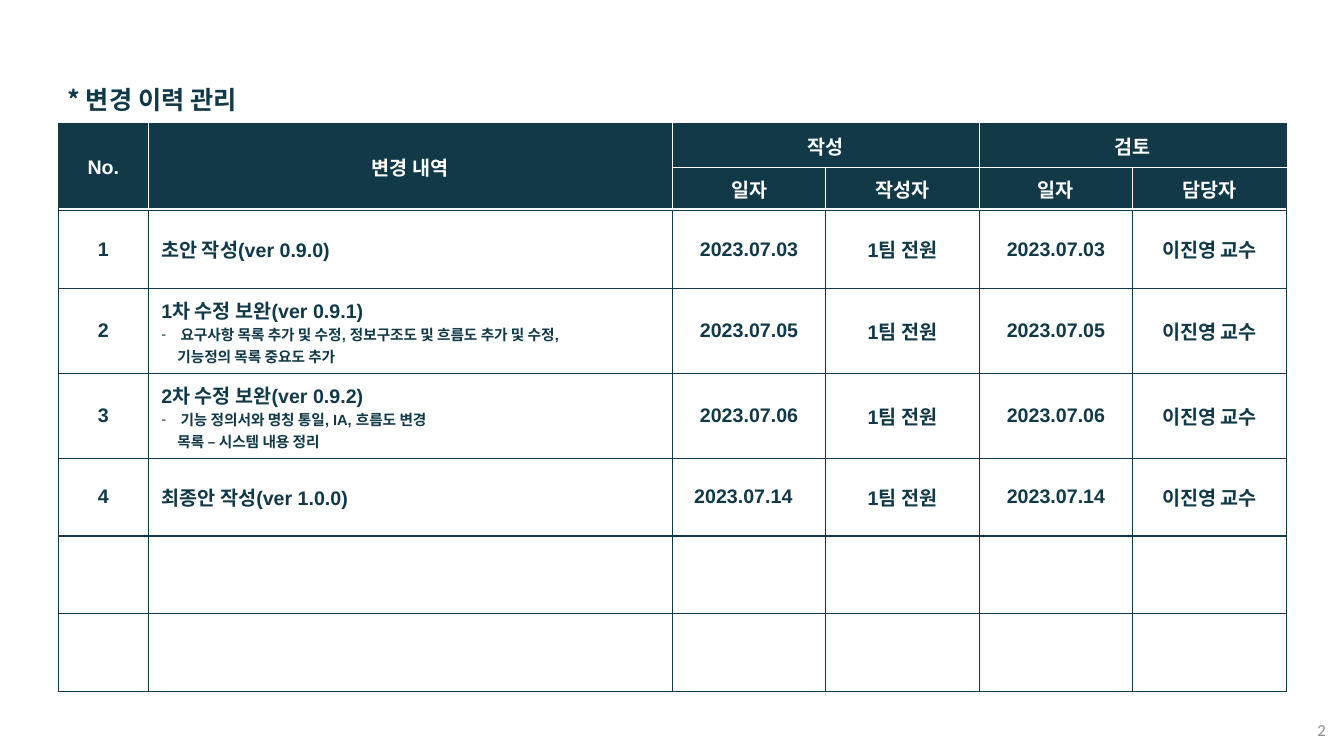
"""Build the revision history slide."""
from dataclasses import dataclass

import lxml.etree
import pptx
import pptx.dml.color
import pptx.enum.text
import pptx.oxml.ns
import pptx.slide
import pptx.table
import pptx.text.text
import pptx.util

ALIGN = pptx.enum.text.PP_ALIGN
ANCHOR = pptx.enum.text.MSO_ANCHOR


@dataclass(frozen=True)
class Theme:
    navy: str = "113947"
    white: str = "FFFFFF"
    gray: str = "8C8C8C"
    latin: str = "Arial"
    korean: str = "Noto Sans CJK KR"
    numeral: str = "Calibri"
    heading_size: float = 18
    cell_size: float = 14
    detail_size: float = 10.5
    page_size: float = 12
    border: float = 1


@dataclass(frozen=True)
class Grid:
    width: int = pptx.util.Inches(13.33)
    height: int = pptx.util.Inches(7.5)
    divisions: int = 100

    def x(self, columns: float) -> int:
        return round(self.width * columns / self.divisions)

    def y(self, rows: float) -> int:
        return round(self.height * rows / self.divisions)


@dataclass(frozen=True)
class Heading:
    label: str
    row: int
    column: int
    rows: int = 1
    columns: int = 1
    solid_share: float = 1


@dataclass(frozen=True)
class Revision:
    summary: str
    date: str
    details: tuple[str, ...] = ()
    date_indent: float = 0


@dataclass(frozen=True)
class Caption:
    text: str
    left: float
    top: float
    width: float
    height: float
    font: str
    size: float
    color: str
    bold: bool
    wrap: bool
    align: ALIGN
    anchor: ANCHOR


THEME = Theme()
GRID = Grid()
AUTHOR = "1팀 전원"
REVIEWER = "이진영 교수"
COLUMN_WIDTHS = (6.68, 39, *(11.42,) * 4)
HEADER_ROWS = 2
ROW_HEIGHTS = (*(5.73,) * HEADER_ROWS, *(10.27,) * 6)
BULLET_INDENT = 1.43
CONTINUED_INDENT = 1.2

HEADINGS = (
    Heading("No.", 0, 0, rows=2, solid_share=0.97),
    Heading("변경 내역", 0, 1, rows=2, solid_share=0.97),
    Heading("작성", 0, 2, columns=2),
    Heading("검토", 0, 4, columns=2),
    *(Heading(label, 1, column, solid_share=0.94)
      for column, label in enumerate(("일자", "작성자", "일자", "담당자"), 2)),
)
REVISIONS = (
    Revision("초안 작성(ver 0.9.0)", "2023.07.03"),
    Revision("1차 수정 보완(ver 0.9.1)", "2023.07.05",
             ("요구사항 목록 추가 및 수정, 정보구조도 및 흐름도 추가 및 수정,", "기능정의 목록 중요도 추가")),
    Revision("2차 수정 보완(ver 0.9.2)", "2023.07.06",
             ("기능 정의서와 명칭 통일, IA, 흐름도 변경", "목록 – 시스템 내용 정리")),
    Revision("최종안 작성(ver 1.0.0)", "2023.07.14", date_indent=0.65),
)
CAPTIONS = (
    Caption("* 변경 이력 관리", 4.28, 10.53, 15.75, 5.33, THEME.korean, THEME.heading_size,
            THEME.navy, True, False, ALIGN.LEFT, ANCHOR.TOP),
    Caption("2", 76.9, 93.87, 22.5, 5.33, THEME.numeral, THEME.page_size,
            THEME.gray, False, True, ALIGN.RIGHT, ANCHOR.MIDDLE),
)


def rgb(color: str) -> pptx.dml.color.RGBColor:
    return pptx.dml.color.RGBColor.from_string(color)


def add_element(parent: lxml.etree._Element, tag: str, **attributes: str) -> lxml.etree._Element:
    return lxml.etree.SubElement(parent, pptx.oxml.ns.qn(tag), attributes)


def style_paragraph(paragraph: pptx.text.text._Paragraph, size: float, color: str,
                    align: ALIGN, latin: str = THEME.latin, bold: bool = True) -> None:
    paragraph.alignment = align
    for run in paragraph.runs:
        run.font.size = pptx.util.Pt(size)
        run.font.bold = bold
        run.font.color.rgb = rgb(color)
        run.font.name = latin
        add_element(run.font._element, "a:ea", typeface=THEME.korean)


def indent(paragraph: pptx.text.text._Paragraph, columns: float, bullet: str = "") -> None:
    properties = paragraph._p.get_or_add_pPr()
    properties.set("marL", str(GRID.x(columns)))
    properties.set("indent", str(-GRID.x(columns) if bullet else 0))
    if bullet:
        add_element(properties, "a:buFont", typeface=THEME.latin)
        add_element(properties, "a:buChar", char=bullet)


def draw_borders(cell: pptx.table._Cell, row: int, column: int) -> None:
    last_row, last_column = row + cell.span_height - 1, column + cell.span_width - 1
    body = row >= HEADER_ROWS
    outer = {
        "a:lnL": body or column == 0,
        "a:lnR": body or last_column == len(COLUMN_WIDTHS) - 1,
        "a:lnT": body or row == 0,
        "a:lnB": body or last_row == HEADER_ROWS - 1,
    }
    for tag, is_navy in outer.items():
        line = add_element(cell._tc.get_or_add_tcPr(), tag, w=str(pptx.util.Pt(THEME.border)))
        add_element(add_element(line, "a:solidFill"), "a:srgbClr",
                    val=THEME.navy if is_navy else THEME.white)


def write_cell(cell: pptx.table._Cell, text: str, color: str, align: ALIGN = ALIGN.CENTER) -> None:
    cell.text_frame.text = text
    for paragraph in cell.text_frame.paragraphs:
        style_paragraph(paragraph, THEME.cell_size, color, align)


def fill_heading(cell: pptx.table._Cell, solid_share: float) -> None:
    if solid_share == 1:
        cell.fill.solid()
        cell.fill.fore_color.rgb = rgb(THEME.navy)
        return
    cell.fill.gradient()
    cell.fill.gradient_angle = 270
    for stop, color in zip(cell.fill.gradient_stops, (THEME.navy, THEME.white)):
        stop.position = solid_share
        stop.color.rgb = rgb(color)


def write_revision(history: pptx.table.Table, number: int, revision: Revision) -> None:
    row = HEADER_ROWS + number - 1
    entries = (str(number), "\n".join((revision.summary, *revision.details)),
               revision.date, AUTHOR, revision.date, REVIEWER)
    for column, entry in enumerate(entries):
        shifted = column == 2 and revision.date_indent
        align = ALIGN.LEFT if column == 1 or shifted else ALIGN.CENTER
        write_cell(history.cell(row, column), entry, THEME.navy, align)
    if revision.date_indent:
        indent(history.cell(row, 2).text_frame.paragraphs[0], revision.date_indent)
    for order, detail in enumerate(history.cell(row, 1).text_frame.paragraphs[1:]):
        indent(detail, CONTINUED_INDENT if order else BULLET_INDENT, "" if order else "-")
        for run in detail.runs:
            run.font.size = pptx.util.Pt(THEME.detail_size)


def add_history(slide: pptx.slide.Slide) -> None:
    history = slide.shapes.add_table(
        len(ROW_HEIGHTS), len(COLUMN_WIDTHS), GRID.x(4.35), GRID.y(16.4),
        GRID.x(sum(COLUMN_WIDTHS)), GRID.y(sum(ROW_HEIGHTS))).table
    history.first_row = history.horz_banding = False
    for column, width in zip(history.columns, COLUMN_WIDTHS):
        column.width = GRID.x(width)
    for row, height in zip(history.rows, ROW_HEIGHTS):
        row.height = GRID.y(height)
    for heading in HEADINGS:
        history.cell(heading.row, heading.column).merge(history.cell(
            heading.row + heading.rows - 1, heading.column + heading.columns - 1))
    for index, cell in enumerate(history.iter_cells()):
        draw_borders(cell, *divmod(index, len(COLUMN_WIDTHS)))
        cell.fill.background()
        cell.vertical_anchor = ANCHOR.MIDDLE
        cell.margin_left = cell.margin_right = GRID.x(0.98)
        cell.margin_top = cell.margin_bottom = GRID.y(0.93)
    for heading in HEADINGS:
        cell = history.cell(heading.row, heading.column)
        write_cell(cell, heading.label, THEME.white)
        fill_heading(cell, heading.solid_share)
    for number, revision in enumerate(REVISIONS, 1):
        write_revision(history, number, revision)


def add_caption(slide: pptx.slide.Slide, caption: Caption) -> None:
    frame = slide.shapes.add_textbox(GRID.x(caption.left), GRID.y(caption.top),
                                     GRID.x(caption.width), GRID.y(caption.height)).text_frame
    frame.text = caption.text
    frame.word_wrap = caption.wrap
    frame.vertical_anchor = caption.anchor
    style_paragraph(frame.paragraphs[0], caption.size, caption.color, caption.align,
                    caption.font, caption.bold)


def main() -> None:
    deck = pptx.Presentation()
    deck.slide_width, deck.slide_height = GRID.width, GRID.height
    slide = deck.slides.add_slide(deck.slide_layouts[6])
    add_history(slide)
    for caption in CAPTIONS:
        add_caption(slide, caption)
    deck.save("out.pptx")


if __name__ == "__main__":
    main()
